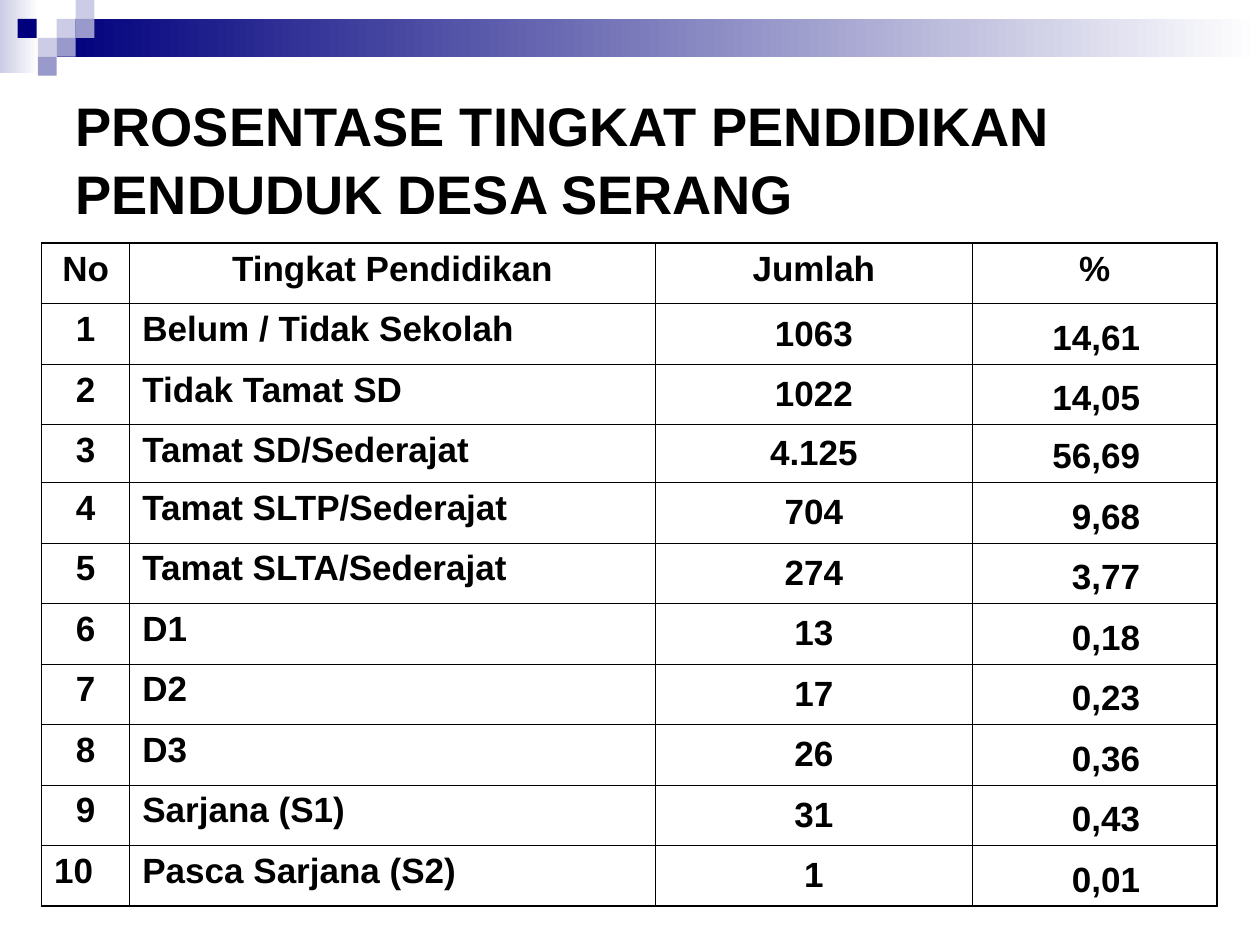
from lxml import etree
from pptx import Presentation
from pptx.dml.color import RGBColor
from pptx.enum.shapes import MSO_SHAPE
from pptx.enum.text import MSO_ANCHOR, MSO_AUTO_SIZE, PP_ALIGN
from pptx.oxml.ns import qn
from pptx.util import Inches, Pt

RECT = MSO_SHAPE.RECTANGLE
TOP, MIDDLE, BOTTOM = MSO_ANCHOR.TOP, MSO_ANCHOR.MIDDLE, MSO_ANCHOR.BOTTOM
LEFT, CENTER, RIGHT = PP_ALIGN.LEFT, PP_ALIGN.CENTER, PP_ALIGN.RIGHT

FONT = "Arial"
COLORS = {"ink": "000000", "navy": "00007D", "mid": "9999CC",
          "pale": "CCCCE6", "white": "FFFFFF"}
THIN, THICK = 0.45, 1.08
SQUARE = 0.15

SQUARES = [(0.45, 0.15, "pale"), (0.6, 0, "pale"), (0.6, 0.15, "mid"),
           (0.3, 0.3, "pale"), (0.14, 0.15, "navy"), (0.45, 0.3, "mid"),
           (0.3, 0.45, "mid")]

HEADERS = ["No", "Tingkat Pendidikan", "Jumlah", "%"]
EDUCATION = [
    ("Belum / Tidak Sekolah", "1063", "14,61"),
    ("Tidak Tamat SD", "1022", "14,05"),
    ("Tamat SD/Sederajat", "4.125", "56,69"),
    ("Tamat SLTP/Sederajat", "704", "9,68"),
    ("Tamat SLTA/Sederajat", "274", "3,77"),
    ("D1", "13", "0,18"),
    ("D2", "17", "0,23"),
    ("D3", "26", "0,36"),
    ("Sarjana (S1)", "31", "0,43"),
    ("Pasca Sarjana (S2)", "1", "0,01"),
]
COL_WIDTHS = [0.7, 4.17, 2.52, 1.94]
ROW_HEIGHT = 0.48
# alignment, anchor, left margin, right margin of each column
HEADER_STYLE = (CENTER, TOP, 0.1, 0.1)
BODY_STYLES = [(CENTER, TOP, 0.1, 0.1), (LEFT, TOP, 0.1, 0.1),
               (CENTER, MIDDLE, 0.01, 0.01), (RIGHT, BOTTOM, 0.01, 0.61)]


def rgb(name):
    return RGBColor.from_string(COLORS[name])


def set_font(p, size):
    p.font.name = FONT
    p.font.size = Pt(size)
    p.font.bold = True
    p.font.color.rgb = rgb("ink")


def add_rect(s, x, y, w, h, color, fade_to=None):
    """Add a borderless rectangle, fading left to right if fade_to is given."""
    sp = s.shapes.add_shape(RECT, Inches(x), Inches(y), Inches(w), Inches(h))
    sp.shadow.inherit = False
    sp.line.fill.background()
    if fade_to:
        sp.fill.gradient()
        sp.fill.gradient_angle = 0
        for stop, name in zip(sp.fill.gradient_stops, (color, fade_to)):
            stop.color.rgb = rgb(name)
    else:
        sp.fill.solid()
        sp.fill.fore_color.rgb = rgb(color)


def add_banner(s):
    add_rect(s, 0, 0, 0.31, 0.58, "pale", "white")
    add_rect(s, 0.45, 0.15, 9.55, 0.3, "navy", "white")
    for x, y, color in SQUARES:
        add_rect(s, x, y, SQUARE, SQUARE, color)


def add_title(s, text):
    sp = s.shapes.title
    sp.left, sp.top = Inches(0.5), Inches(0.5)
    sp.width, sp.height = Inches(9), Inches(1.5)
    tf = sp.text_frame
    tf.text = text
    tf.word_wrap = True
    tf.auto_size = MSO_AUTO_SIZE.NONE
    tf.vertical_anchor = MIDDLE
    p = tf.paragraphs[0]
    p.alignment = LEFT
    p.line_spacing = 1.04
    set_font(p, 31)


def set_borders(cell, widths):
    """Draw the sides of a cell; widths maps L, R, T, B to points."""
    tc_pr = cell._tc.get_or_add_tcPr()
    for side in "LRTB":
        ln = etree.SubElement(tc_pr, qn(f"a:ln{side}"), w=str(Pt(widths[side])))
        fill = etree.SubElement(ln, qn("a:solidFill"))
        etree.SubElement(fill, qn("a:srgbClr"), val=COLORS["ink"])


def fill_cell(cell, text, style):
    align, anchor, left, right = style
    cell.text = text
    cell.vertical_anchor = anchor
    cell.margin_left, cell.margin_right = Inches(left), Inches(right)
    cell.margin_top = cell.margin_bottom = Inches(0.05)
    p = cell.text_frame.paragraphs[0]
    p.alignment = align
    set_font(p, 20)


def add_education_table(s):
    rows = [HEADERS] + [(str(n), *row) for n, row in enumerate(EDUCATION, 1)]
    last_row, last_col = len(rows) - 1, len(HEADERS) - 1
    table = s.shapes.add_table(
        len(rows), len(HEADERS), Inches(0.33), Inches(1.93),
        Inches(sum(COL_WIDTHS)), Inches(ROW_HEIGHT * len(rows))).table
    table.first_row = table.horz_banding = False
    for col, width in zip(table.columns, COL_WIDTHS):
        col.width = Inches(width)
    for row in table.rows:
        row.height = Inches(ROW_HEIGHT)
    table.rows[3].height = Inches(0.46)

    for i, row in enumerate(rows):
        for j, text in enumerate(row):
            cell = table.cell(i, j)
            fill_cell(cell, text, BODY_STYLES[j] if i else HEADER_STYLE)
            set_borders(cell, {"L": THIN if j else THICK,
                               "R": THICK if j == last_col else THIN,
                               "T": THIN if i else THICK,
                               "B": THICK if i == last_row else THIN})
            cell.fill.background()
    table.cell(last_row, 0).text_frame.paragraphs[0].alignment = LEFT


def main():
    prs = Presentation()
    prs.slide_width, prs.slide_height = Inches(10), Inches(7.5)
    s = prs.slides.add_slide(prs.slide_layouts[5])
    add_banner(s)
    add_title(s, "PROSENTASE TINGKAT PENDIDIKAN PENDUDUK DESA SERANG")
    add_education_table(s)
    prs.save("out.pptx")


if __name__ == "__main__":
    main()
